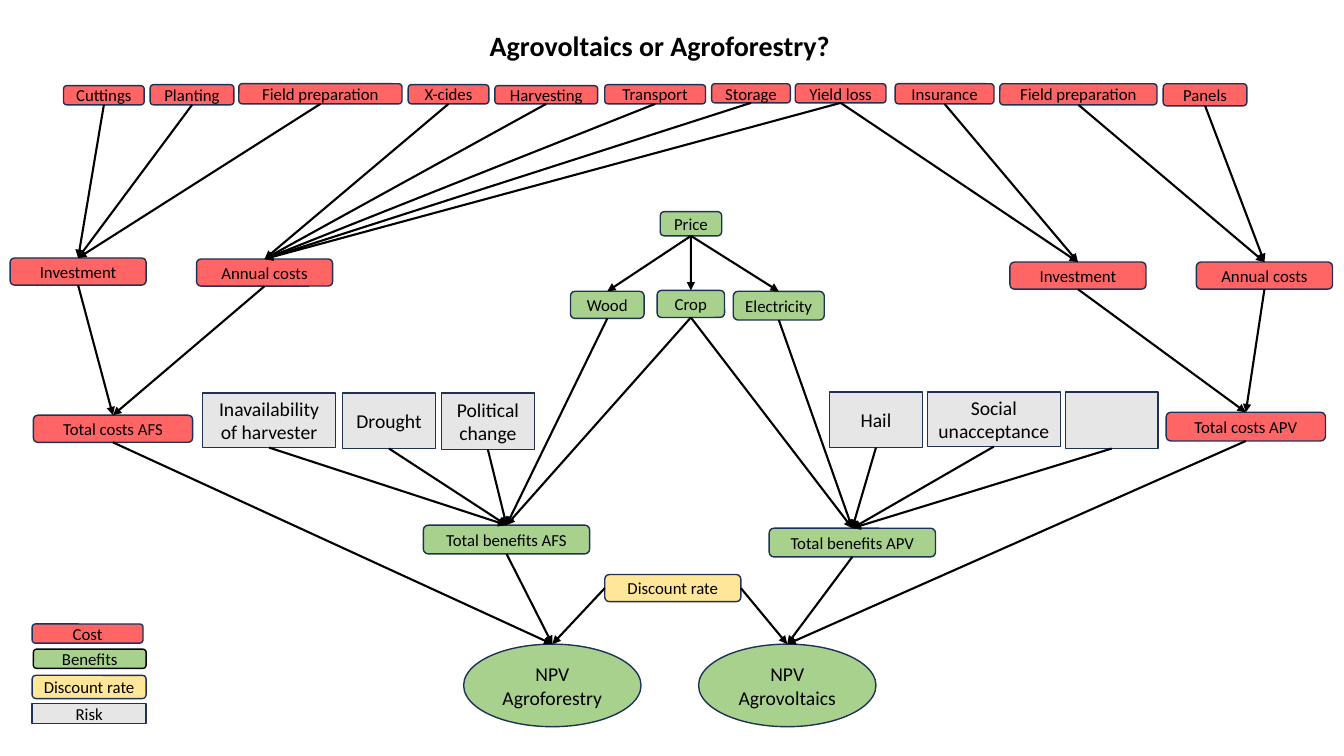
"""Builds a decision diagram that compares agrovoltaics with agroforestry."""
from lxml.etree import SubElement
from pptx import Presentation
from pptx.dml.color import RGBColor
from pptx.enum.shapes import MSO_CONNECTOR as Connector, MSO_SHAPE as Shape
from pptx.enum.text import MSO_ANCHOR as Anchor, PP_ALIGN as Align
from pptx.oxml.ns import qn
from pptx.util import Pt

COLORS = {"cost": "FF6565", "benefit": "A9D18E", "rate": "FFE699", "risk": "E7E6E6",
          "outline": "1E3256", "ink": "000000"}
OUTLINES = {"risk": Shape.RECTANGLE, "npv": Shape.OVAL}
TOP, LEFT, BOTTOM, RIGHT = range(4)

NODES = {
    "cost": {
        "Cuttings": (45.4, 61.2, 57.6, 13.7),
        "Planting": (107.3, 60.5, 59.8, 14.4),
        "Field preparation AFS": (170.6, 59.8, 116.6, 14.4),
        "X-cides": (291.6, 60.5, 57.6, 13.7),
        "Harvesting": (353.5, 61.2, 73.4, 13),
        "Transport": (432, 60.5, 72, 13.7),
        "Storage": (508.3, 59.8, 56.2, 13.7),
        "Yield loss": (568.1, 59.8, 64.8, 13.7),
        "Insurance": (639.4, 59.8, 70.6, 14.4),
        "Field preparation APV": (714.2, 59.8, 112.3, 15.1),
        "Panels": (830.9, 59.8, 59.8, 15.8),
        "Investment AFS": (7.2, 184.3, 97.2, 19.4),
        "Annual costs AFS": (140.4, 185, 97.2, 19.4),
        "Investment APV": (721.4, 187.2, 97.2, 19.4),
        "Annual costs APV": (854.6, 187.2, 97.2, 19.4),
        "Total costs AFS": (23.8, 296.6, 113.8, 19.4),
        "Total costs APV": (833, 294.5, 113.8, 20.5),
    },
    "benefit": {
        "Price": (471.6, 151.2, 43.9, 17.3),
        "Wood": (407.5, 208.1, 52.6, 19.4),
        "Crop": (469.4, 207.4, 48.2, 19.4),
        "Electricity": (523.8, 208.1, 65, 20.5),
        "Total benefits AFS": (302.4, 375.1, 118.8, 20.5),
        "Total benefits APV": (549.4, 377.3, 118.8, 20.5),
    },
    "risk": {
        "Inavailability of harvester": (144.7, 280.8, 95, 38.9),
        "Drought": (244.8, 280.8, 66.2, 39.6),
        "Political change": (315.4, 280.8, 66.2, 40.3),
        "Hail": (592.6, 280.1, 66.2, 39.6),
        "Social unacceptance": (662.4, 280.1, 95, 38.9),
        "Open risk": (761, 280.1, 66.2, 40.3),
    },
    "rate": {"Discount rate": (432, 410.4, 97.2, 19.4)},
    "npv": {
        "NPV Agroforestry": (331.2, 460.1, 126.7, 59),
        "NPV Agrovoltaics": (499, 460.1, 126.7, 59),
    },
}
LABELS = {f"{name} {system}": name for system in ("AFS", "APV")
          for name in ("Field preparation", "Investment", "Annual costs")}
LABELS["Open risk"] = ""

INPUTS = {
    "Investment AFS": ["Cuttings", "Planting", "Field preparation AFS"],
    "Annual costs AFS": ["X-cides", "Harvesting", "Transport", "Storage", "Yield loss"],
    "Investment APV": ["Yield loss", "Insurance"],
    "Annual costs APV": ["Field preparation APV", "Panels"],
    "Total costs AFS": ["Investment AFS", "Annual costs AFS"],
    "Total costs APV": ["Investment APV", "Annual costs APV"],
    "Wood": ["Price"],
    "Crop": ["Price"],
    "Electricity": ["Price"],
    "Total benefits AFS": ["Wood", "Crop", "Inavailability of harvester", "Drought",
                           "Political change"],
    "Total benefits APV": ["Crop", "Electricity", "Hail", "Social unacceptance", "Open risk"],
    "NPV Agroforestry": ["Total costs AFS", "Total benefits AFS"],
    "NPV Agrovoltaics": ["Total costs APV", "Total benefits APV"],
}
LEGEND = [
    ("Cost", "cost", "outline", (23, 445.7, 79.2, 13.7)),
    ("Benefits", "benefit", "ink", (23.8, 463.7, 80.6, 13.7)),
    ("Discount rate", "rate", "outline", (23, 482.4, 81.4, 16.6)),
    ("Risk", "risk", "outline", (23, 502.6, 81.4, 14.4)),
]


class Diagram:
    """Draws styled nodes, arrows and titles on one slide."""

    font = "Calibri"

    def __init__(self, slide):
        self.slide = slide

    def color(self, name):
        return RGBColor.from_string(COLORS[name])

    def label(self, shape, text, size, align, bold=False):
        shape.text_frame.word_wrap = True
        paragraph = shape.text_frame.paragraphs[0]
        paragraph.text = text
        paragraph.alignment = align
        font = paragraph.font
        font.name, font.size, font.bold = self.font, Pt(size), bold
        font.color.rgb = self.color("ink")

    def title(self, text, box):
        shape = self.slide.shapes.add_textbox(*map(Pt, box))
        self.label(shape, text, 20, Align.LEFT, bold=True)

    def node(self, text, kind, box, size=12, outline="outline"):
        preset = OUTLINES.get(kind, Shape.ROUNDED_RECTANGLE)
        shape = self.slide.shapes.add_shape(preset, *map(Pt, box))
        shape.shadow.inherit = False
        shape.fill.solid()
        shape.fill.fore_color.rgb = self.color("benefit" if kind == "npv" else kind)
        shape.line.color.rgb = self.color(outline)
        shape.line.width = Pt(1)
        shape.text_frame.vertical_anchor = Anchor.MIDDLE
        self.label(shape, text, size, Align.CENTER)
        return shape

    def arrow(self, source, target, side=BOTTOM):
        connector = self.slide.shapes.add_connector(Connector.STRAIGHT, 0, 0, 0, 0)
        connector.begin_connect(source, side)
        connector.end_connect(target, TOP)
        connector.line.color.rgb = self.color("ink")
        connector.line.width = Pt(1.5)
        properties = connector._element.spPr
        SubElement(properties.get_or_add_ln(), qn("a:tailEnd"), type="triangle")
        SubElement(properties, qn("a:effectLst"))


presentation = Presentation()
presentation.slide_width, presentation.slide_height = Pt(960), Pt(540)
diagram = Diagram(presentation.slides.add_slide(presentation.slide_layouts[6]))

diagram.title("Agrovoltaics or Agroforestry?", (342.7, 16.6, 262, 31.7))
nodes = {}
for kind, boxes in NODES.items():
    size = 14 if kind in OUTLINES else 12
    for name, box in boxes.items():
        nodes[name] = diagram.node(LABELS.get(name, name), kind, box, size)
for target, sources in INPUTS.items():
    for source in sources:
        diagram.arrow(nodes[source], nodes[target])
for side, target in ((LEFT, "NPV Agroforestry"), (RIGHT, "NPV Agrovoltaics")):
    diagram.arrow(nodes["Discount rate"], nodes[target], side)
for text, kind, outline, box in LEGEND:
    diagram.node(text, kind, box, outline=outline)

presentation.save("out.pptx")
